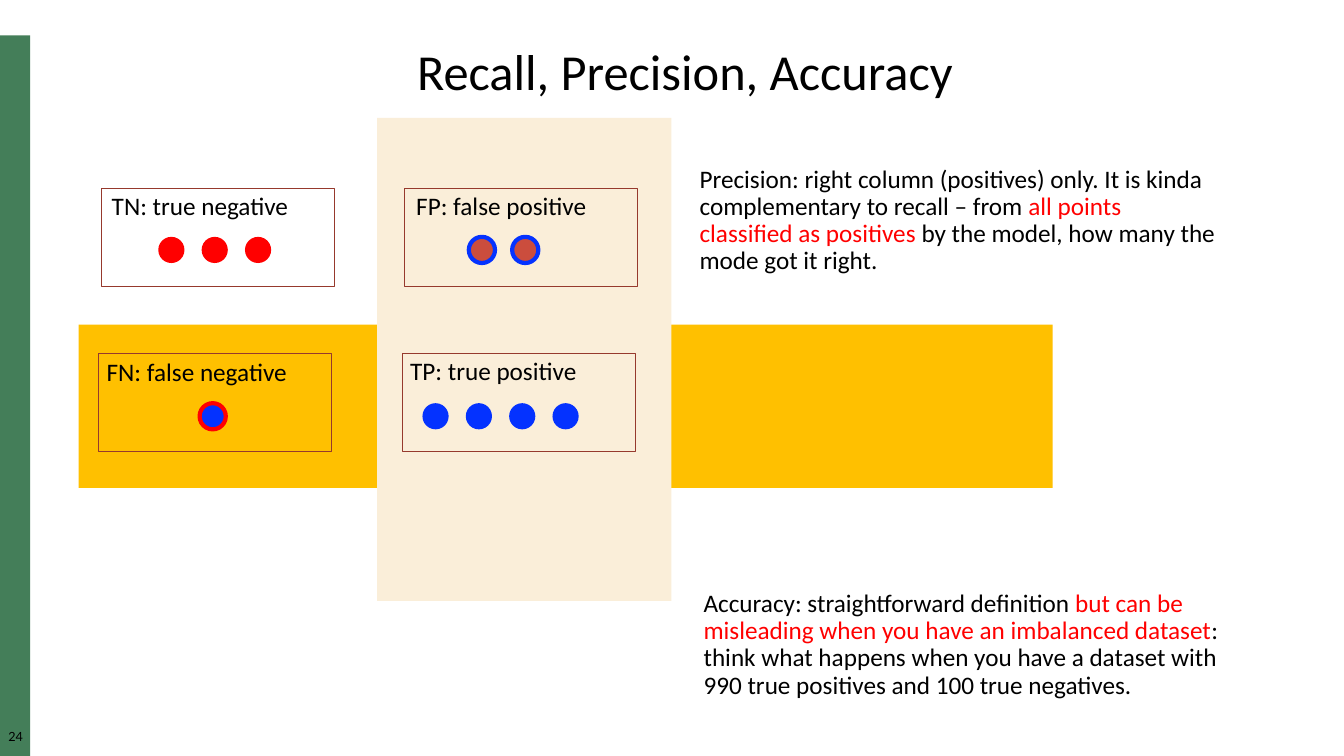
from pptx import Presentation
from pptx.dml.color import RGBColor
from pptx.enum.shapes import MSO_SHAPE
from pptx.enum.text import MSO_ANCHOR, PP_ALIGN
from pptx.util import Pt

PX = 9144  # EMU per px, 100 px to the inch
COLORS = {
    "green": "447E59", "amber": "FFC000", "cream": "FAEED9", "frame": "96392D",
    "red": "FF0000", "blue": "0432FF", "rust": "CB4D3D", "black": "000000",
}
DOT, DOT_STEP = 26, 43

deck = Presentation()
deck.slide_width, deck.slide_height = 1333 * PX, 750 * PX
page = deck.slides.add_slide(deck.slide_layouts[6])


def add_figure(kind, place, fill=None, line=None, weight=1):
    figure = page.shapes.add_shape(kind, *[length * PX for length in place])
    figure.shadow.inherit = False
    if fill:
        figure.fill.solid()
        figure.fill.fore_color.rgb = RGBColor.from_string(COLORS[fill])
    else:
        figure.fill.background()
    if line:
        figure.line.color.rgb = RGBColor.from_string(COLORS[line])
        figure.line.width = Pt(weight)
    else:
        figure.line.fill.background()


def add_text(place, spans, size=18, font="Calibri", align=PP_ALIGN.LEFT, wrap=True):
    """Add a one-paragraph text box; spans are (text, color name) pairs."""
    box = page.shapes.add_textbox(*[length * PX for length in place])
    box.text_frame.word_wrap = wrap
    para = box.text_frame.paragraphs[0]
    para.alignment = align
    para.line_spacing = 0.9
    for text, color in spans:
        span = para.add_run()
        span.text = text
        span.font.size = Pt(size)
        span.font.name = font
        span.font.color.rgb = RGBColor.from_string(COLORS[color])
    return box.text_frame


# Side bar with page number
add_figure(MSO_SHAPE.RECTANGLE, (0, 35, 30, 715), "green")
number = add_text((0, 725, 31, 17), [("24", "black")], 9, "Lato", PP_ALIGN.CENTER)
number.margin_left = number.margin_right = number.margin_top = number.margin_bottom = 0

# Recall row and precision column
add_figure(MSO_SHAPE.RECTANGLE, (78, 322, 966, 162), "amber")
add_figure(MSO_SHAPE.RECTANGLE, (374, 117, 292, 479), "cream")

title = add_text((55, 41, 1249, 66), [("Recall, Precision, Accuracy", "black")],
                 36, align=PP_ALIGN.CENTER)
title.vertical_anchor = MSO_ANCHOR.MIDDLE

# Confusion matrix: label, frame corner, label corner and width, first dot, dot count and style
cells = [
    ("TN: true negative", (101, 187), (101, 187, 199), (157, 235), 3, "red", None),
    ("FP: false positive", (401, 187), (403, 187, 192), (465, 235), 2, "rust", "blue"),
    ("FN: false negative", (98, 351), (96, 352, 204), (198, 400), 1, "blue", "red"),
    ("TP: true positive", (399, 351), (397, 351, 187), (419, 400), 4, "blue", None),
]
for label, corner, label_place, (dot_x, dot_y), count, fill, ring in cells:
    add_figure(MSO_SHAPE.RECTANGLE, (*corner, 231, 97), line="frame", weight=0.85)
    add_text((*label_place, 37), [(label, "black")], wrap=False)
    for index in range(count):
        add_figure(MSO_SHAPE.OVAL, (dot_x + index * DOT_STEP, dot_y, DOT, DOT), fill, ring, 3)

# Explanations
add_text((684, 160, 532, 119), [
    ("Precision: right column (positives) only. It is kinda complementary to recall – from ", "black"),
    ("all points classified as positives ", "red"),
    ("by the model, how many the mode got it right.", "black"),
])
add_text((688, 581, 532, 146), [
    ("Accuracy: straightforward definition ", "black"),
    ("but can be misleading when you have an imbalanced dataset", "red"),
    (": think what happens when you have a dataset with 990 true positives "
     "and 100 true negatives.", "black"),
])

deck.save("out.pptx")
